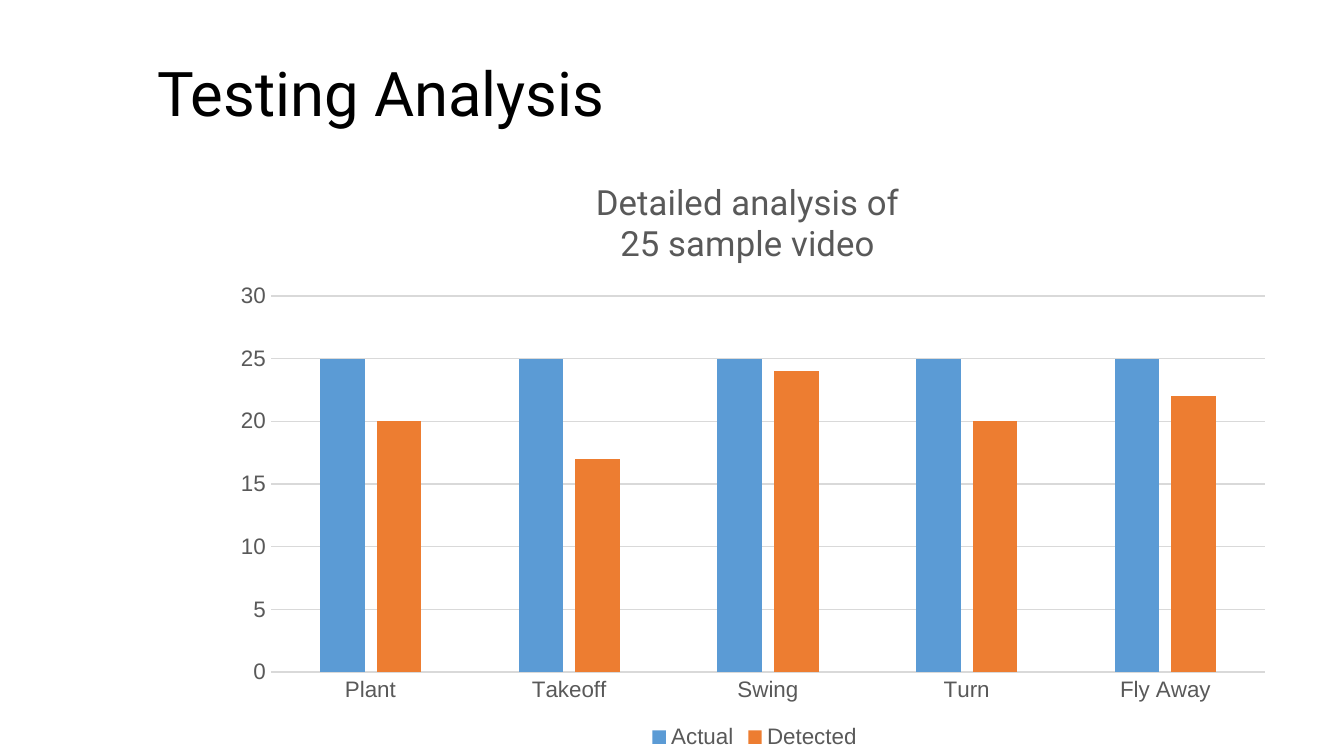
from pptx import Presentation, util as u
from pptx.chart.data import CategoryChartData
from pptx.dml.color import RGBColor
from pptx.enum import chart as ch, text
from pptx.oxml import parse_xml
from pptx.oxml.ns import nsdecls, qn

# Content
HEAD = "Testing Analysis"
TITLE = ["Detailed analysis of", "25 sample video"]
CATS = ["Plant", "Takeoff", "Swing", "Turn", "Fly Away"]
BARS = [
    ("Actual", [25, 25, 25, 25, 25], "5B9BD5"),
    ("Detected", [20, 17, 24, 20, 22], "ED7D31"),
]
GREY, PALE = "595959", "D9D9D9"
WIDE = 10
HIGH = WIDE * 9 / 16


def color(code):
    return RGBColor.from_string(code)


def style(font, name, size, code):
    font.name, font.size, font.bold = name, u.Pt(size), False
    font.color.rgb = color(code)


def rule(line):
    line.color.rgb = color(PALE)
    line.width = u.Pt(0.75)


def place(node, index, inner=False, **shares):
    """Set a chart part's position as shares of the chart's size."""
    for old in node.findall(qn("c:layout")):
        node.remove(old)
    tags = '<c:layoutTarget val="inner"/>' if inner else ""
    tags += "".join(f'<c:{k}Mode val="edge"/>' for k in "xy")
    tags += "".join(f'<c:{k} val="{v}"/>' for k, v in shares.items())
    node.insert(index, parse_xml(
        f'<c:layout {nsdecls("c")}><c:manualLayout>{tags}'
        '</c:manualLayout></c:layout>'))


prs = Presentation()
prs.slide_width, prs.slide_height = u.Inches(WIDE), u.Inches(HIGH)
slide = prs.slides.add_slide(prs.slide_layouts[6])

# Heading
box = slide.shapes.add_textbox(*map(u.Inches, (1.07, 0.37, 4.19, 0.63)))
frame = box.text_frame
frame.word_wrap = True
frame.vertical_anchor = text.MSO_ANCHOR.MIDDLE
frame.margin_left = frame.margin_right = u.Inches(0.1)
frame.margin_top = frame.margin_bottom = u.Inches(0.1)
run = frame.paragraphs[0].add_run()
run.text = HEAD
style(run.font, "Roboto", 33, "000000")

# Chart
data = CategoryChartData()
data.categories = CATS
for name, vals, _ in BARS:
    data.add_series(name, vals)
left, top = 1.62, 1.18
chart = slide.shapes.add_chart(
    ch.XL_CHART_TYPE.COLUMN_CLUSTERED,
    *map(u.Inches, (left, top, 7.95, HIGH - top)), data).chart
style(chart.font, "Arial", 10, "000000")

# Bars
plot = chart.plots[0]
plot.gap_width, plot.overlap = 219, -27
plot.vary_by_categories = False
for bar, (_, _, code) in zip(plot.series, BARS):
    bar.format.fill.solid()
    bar.format.fill.fore_color.rgb = color(code)
place(chart._chartSpace.chart.plotArea, 0, True, x=0.05, y=0.23, w=0.93, h=0.63)

# Axes
cat, val = chart.category_axis, chart.value_axis
for axis in (cat, val):
    axis.major_tick_mark = axis.minor_tick_mark = ch.XL_TICK_MARK.NONE
    style(axis.tick_labels.font, "Arial", 12, GREY)
rule(cat.format.line)
val.format.line.fill.background()
val.minimum_scale, val.maximum_scale, val.major_unit = 0, 30, 5
val.has_major_gridlines = True
rule(val.major_gridlines.format.line)

# Chart title
title = chart.chart_title
frame = title.text_frame
for i, words in enumerate(TITLE):
    para = frame.add_paragraph() if i else frame.paragraphs[0]
    para.alignment = text.PP_ALIGN.CENTER
    run = para.add_run()
    run.text = words
    style(run.font, "Roboto", 18.6, GREY)
place(title._element, 1, x=0.35, y=0.03)

# Legend
chart.has_legend = True
legend = chart.legend
legend.position = ch.XL_LEGEND_POSITION.BOTTOM
legend.include_in_layout = False
style(legend.font, "Arial", 12, GREY)
place(legend._element, 1, x=0.4, y=0.94)

prs.save("out.pptx")
